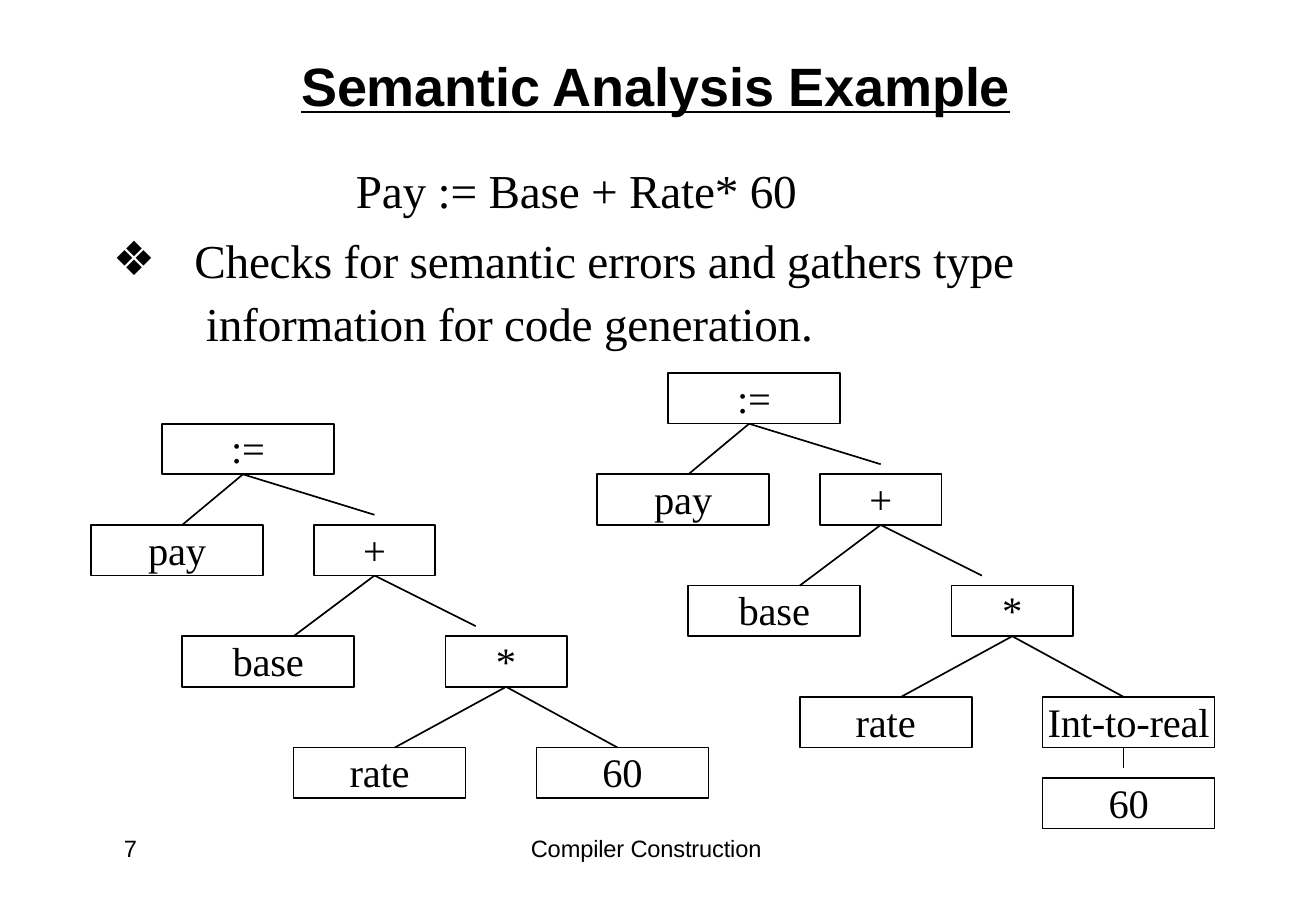
from lxml.etree import SubElement
from pptx import Presentation
from pptx.dml.color import RGBColor
from pptx.enum.shapes import MSO_CONNECTOR, MSO_SHAPE
from pptx.enum.text import MSO_ANCHOR, PP_ALIGN
from pptx.oxml.ns import qn
from pptx.util import Inches, Pt

BLACK = RGBColor(0, 0, 0)
OUTLINE = RGBColor(1, 1, 1)
CELL = Inches(1) / 12
TREE_TOP = Inches(3.49)


def place(item, left, top, width, height):
    item.left, item.top = round(left), round(top)
    item.width, item.height = round(width), round(height)


def style(frame, face, size, align, inset=0):
    frame.word_wrap = True
    frame.vertical_anchor = MSO_ANCHOR.TOP
    frame.margin_left = frame.margin_right = frame.margin_bottom = 0
    frame.margin_top = Inches(inset)
    for line in frame.paragraphs:
        line.alignment = align
        line.space_before = Pt(0)
        line.font.name = face
        line.font.size = Pt(size)
        line.font.color.rgb = BLACK
        line._p.pPr.find(qn("a:defRPr")).set("spc", "-10")


deck = Presentation()
deck.slide_width, deck.slide_height = Pt(780), Pt(539)
slide = deck.slides.add_slide(deck.slide_layouts[1])
heading, summary = slide.placeholders

place(heading, Inches(2.48), Inches(0.42), Inches(5.9), Inches(0.56))
heading.text_frame.text = "Semantic Analysis Example"
style(heading.text_frame, "Arial", 32, PP_ALIGN.LEFT, 0.01)
heading.text_frame.paragraphs[0].font.bold = True
heading.text_frame.paragraphs[0].font.underline = True

place(summary, Inches(0.92), Inches(1.22), Inches(7.51), Inches(1.69))
summary.text_frame.text = (
    "Pay := Base + Rate* 60\n"
    "Checks for semantic errors and gathers type\v information for code generation."
)
statement, purpose = summary.text_frame.paragraphs
for line, margin, hanging, bullet in (
    (statement, 2.01, 0, None),
    (purpose, 0.68, -0.67, "❖"),
):
    props = line._p.get_or_add_pPr()
    props.set("marL", str(Inches(margin)))
    props.set("indent", str(Inches(hanging)))
    if bullet:
        SubElement(props, qn("a:buChar"), char=bullet)
    else:
        SubElement(props, qn("a:buNone"))
style(summary.text_frame, "Times New Roman", 28, PP_ALIGN.LEFT, 0.11)
purpose.line_spacing = 1.12
purpose.space_before = Pt(3.5)

WIDE, NARROW, TALL = 17, 12, 5
shared_nodes = [
    (":=", 16, 0, WIDE),
    ("pay", 9, 10, WIDE),
    ("+", 31, 10, NARROW),
    ("base", 18, 21, WIDE),
    ("*", 44, 21, NARROW),
    ("rate", 29, 32, WIDE),
]
shared_branches = [
    (":=", 24, 5, 18, 10),
    (":=", 24, 5, 37, 9),
    ("+", 37, 15, 29, 21),
    ("+", 37, 15, 47, 20),
    ("*", 50, 26, 39, 32),
    ("*", 50, 26, 61, 32),
]
trees = [
    (0, 0, [("60", 53, 32, WIDE)], []),
    (50, -5, [("Int-to-real", 53, 32, WIDE), ("60", 53, 40, WIDE)],
     [("Int-to-real", 61, 37, 61, 39)]),
]

for shift, rise, own_nodes, own_branches in trees:
    nodes = {}
    for label, column, row, span in shared_nodes + own_nodes:
        node = slide.shapes.add_shape(MSO_SHAPE.RECTANGLE, 0, 0, 0, 0)
        place(node, (column + shift) * CELL, TREE_TOP + (row + rise) * CELL,
              span * CELL, TALL * CELL)
        node.shadow.inherit = False
        node.fill.background()
        node.line.color.rgb = OUTLINE
        node.line.width = Pt(1)
        node.text_frame.text = label
        style(node.text_frame, "Times New Roman", 24, PP_ALIGN.CENTER)
        node.text_frame.paragraphs[0].line_spacing = Pt(28.6)
        nodes[label] = node
    for parent, x1, y1, x2, y2 in shared_branches + own_branches:
        branch = slide.shapes.add_connector(
            MSO_CONNECTOR.STRAIGHT,
            round((x1 + shift) * CELL), round(TREE_TOP + (y1 + rise) * CELL),
            round((x2 + shift) * CELL), round(TREE_TOP + (y2 + rise) * CELL))
        if parent in ("+", "*"):
            branch.begin_connect(nodes[parent], 2)
        branch.line.color.rgb = OUTLINE
        branch.line.width = Pt(1)
        SubElement(branch._element.spPr, qn("a:effectLst"))

for label, left, width in (("7", 1.02, 0.16), ("Compiler Construction", 4.37, 1.95)):
    footer = slide.shapes.add_textbox(
        Inches(left), Inches(6.87), Inches(width), Inches(0.25))
    footer.text_frame.text = label
    style(footer.text_frame, "Arial", 14, PP_ALIGN.LEFT)
    footer.text_frame.paragraphs[0].line_spacing = Pt(16.4)

deck.save("out.pptx")
